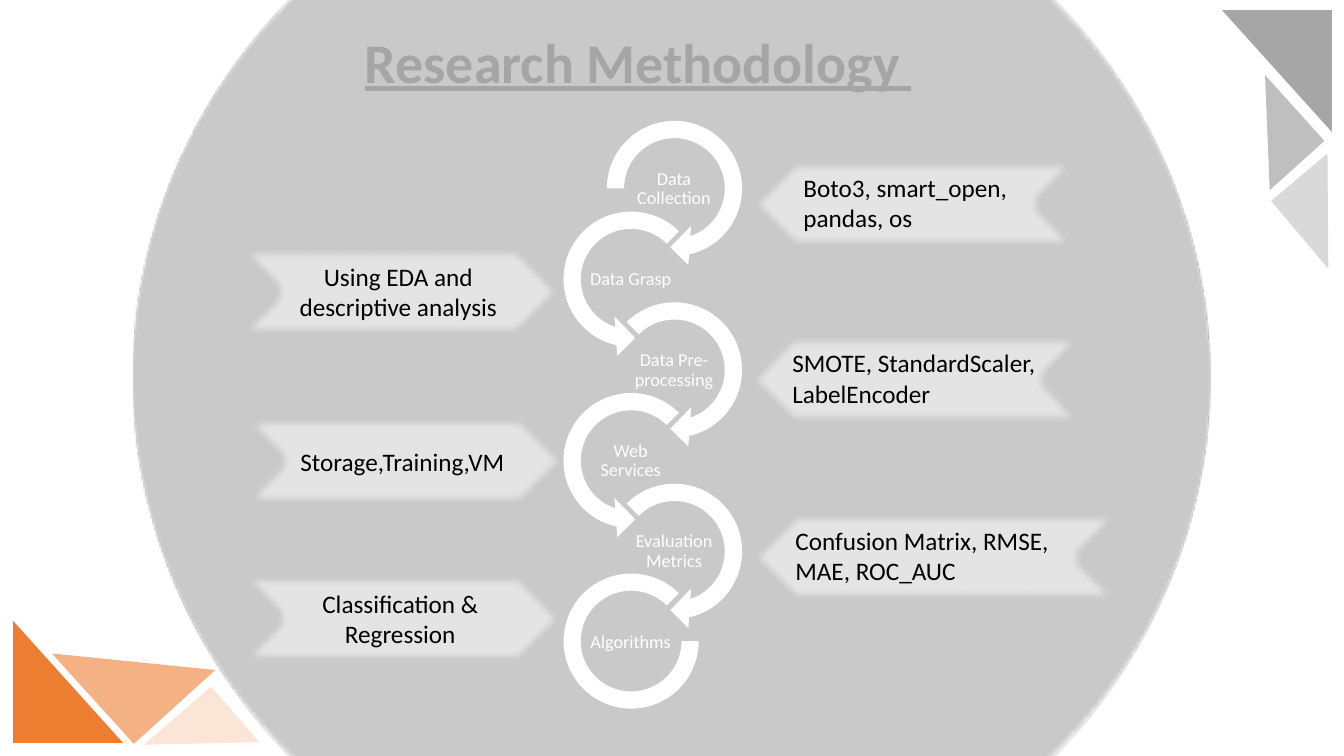
"""Build the research methodology slide."""
import math
from dataclasses import dataclass

from lxml import etree
from pptx import Presentation
from pptx import util as u
from pptx.dml.color import RGBColor
from pptx.enum import shapes, text
from pptx.oxml import ns

KIND = shapes.MSO_SHAPE
ALIGN = text.PP_ALIGN
ANCHOR = text.MSO_ANCHOR


@dataclass(frozen=True)
class Theme:
    """Colours and type sizes of the slide."""
    font: str = "Calibri"
    halo: str = "D9D9D9"
    disc: str = "C9C9C9"
    banner: str = "E7E6E6"
    ink: str = "000000"
    white: str = "FFFFFF"
    title: str = "A5A5A5"
    greys: tuple = ("A6A6A6", "BFBFBF", "D9D9D9")
    oranges: tuple = ("ED7D31", "F4B183", "FBE5D6")
    title_size: int = 40
    title_end_size: int = 36
    body_size: int = 18
    label_size: int = 13


THEME = Theme()


def apply_format(target, values):
    """Set each named attribute on the target."""
    for name, value in values.items():
        setattr(target, name, value)


def paint(shape, color, soft_edge=0):
    """Give a shape a plain fill, no line and an optional soft edge in points."""
    shape.shadow.inherit = False
    shape.fill.solid()
    shape.fill.fore_color.rgb = RGBColor.from_string(color)
    shape.line.fill.background()
    if soft_edge:
        effects = shape._element.spPr.find(ns.qn("a:effectLst"))
        etree.SubElement(effects, ns.qn("a:softEdge"), rad=str(u.Pt(soft_edge)))


def add_preset(page, kind, box, color, rotation=0, adjustments=(), soft_edge=0):
    """Add a filled preset shape in the box."""
    shape = page.shapes.add_shape(kind, *map(u.Inches, box))
    shape.rotation = rotation
    for index, value in enumerate(adjustments):
        shape.adjustments[index] = value
    paint(shape, color, soft_edge)
    return shape


def write(frame, spans, color, frame_format, para_format, bold=None):
    """Write one paragraph of (text, size) spans into a text frame."""
    apply_format(frame, {"word_wrap": True, **frame_format})
    para = frame.paragraphs[0]
    apply_format(para, para_format)
    for words, size in spans:
        span = para.add_run()
        span.text = words
        apply_format(span.font, {"name": THEME.font, "size": u.Pt(size),
                                 "bold": bold, "underline": bold})
        span.font.color.rgb = RGBColor.from_string(color)


def add_text(page, box, spans, color, frame_format, para_format, bold=None):
    """Add a text box holding one paragraph."""
    frame = page.shapes.add_textbox(*map(u.Inches, box)).text_frame
    write(frame, spans, color, frame_format, para_format, bold)


def add_halo(page, box):
    """Add the translucent circle, cut off at the top and bottom of the box."""
    left, top, width, height = box
    radius = width / 2
    reach = math.degrees(math.asin(height / width))
    steps = 48
    angles = [math.radians(middle - reach + 2 * reach * step / steps)
              for middle in (0, 180) for step in range(steps + 1)]
    points = [(u.Inches(left + radius + radius * math.cos(angle)),
               u.Inches(top + height / 2 + radius * math.sin(angle)))
              for angle in angles]
    builder = page.shapes.build_freeform(*points[0])
    builder.add_line_segments(points[1:], close=True)
    halo = builder.convert_to_shape()
    paint(halo, THEME.halo)
    color = halo._element.spPr.find(".//" + ns.qn("a:srgbClr"))
    etree.SubElement(color, ns.qn("a:alpha"), val="62000")


def add_corner(page, box, colors, triangles):
    """Add triangles given as offset, size and rotation from the box corner."""
    left, top = box
    for color, (dx, dy, width, height, rotation) in zip(colors, triangles):
        add_preset(page, KIND.RIGHT_TRIANGLE,
                   (left + dx, top + dy, width, height), color, rotation)


def add_left_banner(page, box, words):
    """Add a chevron that points right and holds its own text."""
    chevron = add_preset(page, KIND.CHEVRON, box, THEME.banner, soft_edge=5)
    write(chevron.text_frame, [(words, THEME.body_size)], THEME.ink,
          {"vertical_anchor": ANCHOR.MIDDLE}, {"alignment": ALIGN.CENTER})


def add_right_banner(page, box, words, indent, text_width):
    """Add a chevron that points left with a text box over it."""
    left, top = box[:2]
    add_preset(page, KIND.CHEVRON, box, THEME.banner, 180, soft_edge=5)
    add_text(page, (left + indent, top + 0.07, text_width, 0.71),
             [(words, THEME.body_size)], THEME.ink,
             {"auto_size": text.MSO_AUTO_SIZE.SHAPE_TO_FIT_TEXT}, {})


def add_chain(page, box, labels):
    """Add the zigzag of circular arrows, each with its label."""
    left, top, width, height = box
    ring, pitch = 1.56, 0.9
    inset = u.Inches(0.01)
    label_frame = {"vertical_anchor": ANCHOR.MIDDLE,
                   **{f"margin_{side}": inset
                      for side in ("left", "top", "right", "bottom")}}
    for index, label in enumerate(labels):
        x = left if index % 2 else left + width - ring
        y = top + pitch * index
        if index == len(labels) - 1:
            add_preset(page, KIND.BLOCK_ARC, (x + 0.11, y + 0.1, 1.34, 1.34),
                       THEME.white, adjustments=(0, 189, 0.127))
        elif index % 2:
            add_preset(page, KIND.LEFT_CIRCULAR_ARROW, (x, y, ring, ring),
                       THEME.white, adjustments=(0.11, 11.423, 63, 189, 0.125))
        else:
            start = 135 if index else 108
            add_preset(page, KIND.CIRCULAR_ARROW, (x, y, ring, ring),
                       THEME.white, adjustments=(0.11, 11.423, 45, start, 0.125))
        add_text(page, (x + 0.34, y + 0.57, 0.87, 0.43),
                 [(label, THEME.label_size)], THEME.white, label_frame,
                 {"alignment": ALIGN.CENTER, "line_spacing": 0.9})


def add_title(page, box):
    """Add the underlined heading."""
    add_text(page, box, [("Research Methodology", THEME.title_size),
                         (" ", THEME.title_end_size)], THEME.title,
             {"auto_size": text.MSO_AUTO_SIZE.SHAPE_TO_FIT_TEXT}, {}, True)


def main():
    """Build and save the deck."""
    deck = Presentation()
    apply_format(deck, {"slide_width": u.Inches(13.33),
                        "slide_height": u.Inches(7.5)})
    page = deck.slides.add_slide(deck.slide_layouts[6])
    add_halo(page, (1.32, 0, 10.69, 7.5))
    add_corner(page, (12.12, 0.1), THEME.greys,
               [(0, 0, 1.09, 1.21, 180), (0.01, 0.85, 0.88, 0.73, 228),
                (0.61, 1.63, 0.88, 0.73, 49.9)])
    add_corner(page, (0.13, 5.96), THEME.oranges,
               [(0, 0.2, 1.09, 1.21, 0), (0.65, 0, 1.09, 1.21, 317.8),
                (1.43, 1.05, 0.88, 0.73, 139.1)])
    add_preset(page, KIND.OVAL, (1.32, -1.52, 10.69, 10.53), THEME.disc,
               soft_edge=1)
    for left, top, words in [(2.29, 2.46, "Using EDA and descriptive analysis"),
                             (2.33, 4.14, "Storage,Training,VM"),
                             (2.31, 5.7, "Classification & Regression")]:
        add_left_banner(page, (left, top, 3.32, 0.87), words)
    for left, top, width, words, indent, text_width in [
            (7.4, 5.09, 3.76, "Confusion Matrix, RMSE, MAE, ROC_AUC", 0.39, 2.95),
            (7.38, 3.33, 3.45, "SMOTE, StandardScaler, LabelEncoder", 0.38, 3),
            (7.4, 1.59, 3.37, "Boto3, smart_open, pandas, os", 0.47, 2.91)]:
        add_right_banner(page, (left, top, width, 0.87), words, indent, text_width)
    add_chain(page, (5.48, 1.09, 1.99, 5.94),
              ["Data Collection", "Data Grasp", "Data Pre-processing",
               "Web Services", "Evaluation Metrics", "Algorithms"])
    add_title(page, (3.52, 0.22, 6.5, 0.77))
    deck.save("out.pptx")


if __name__ == "__main__":
    main()
